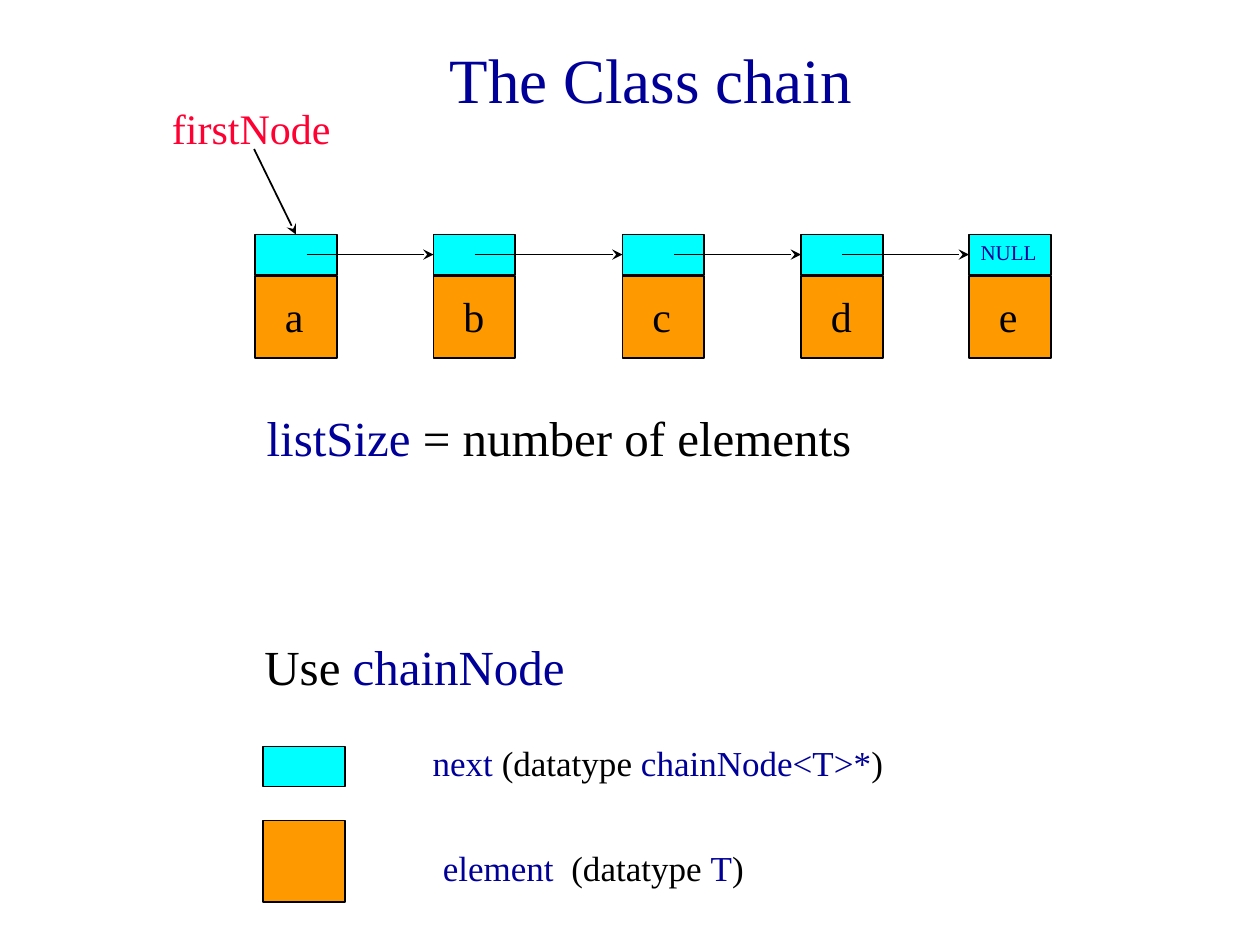
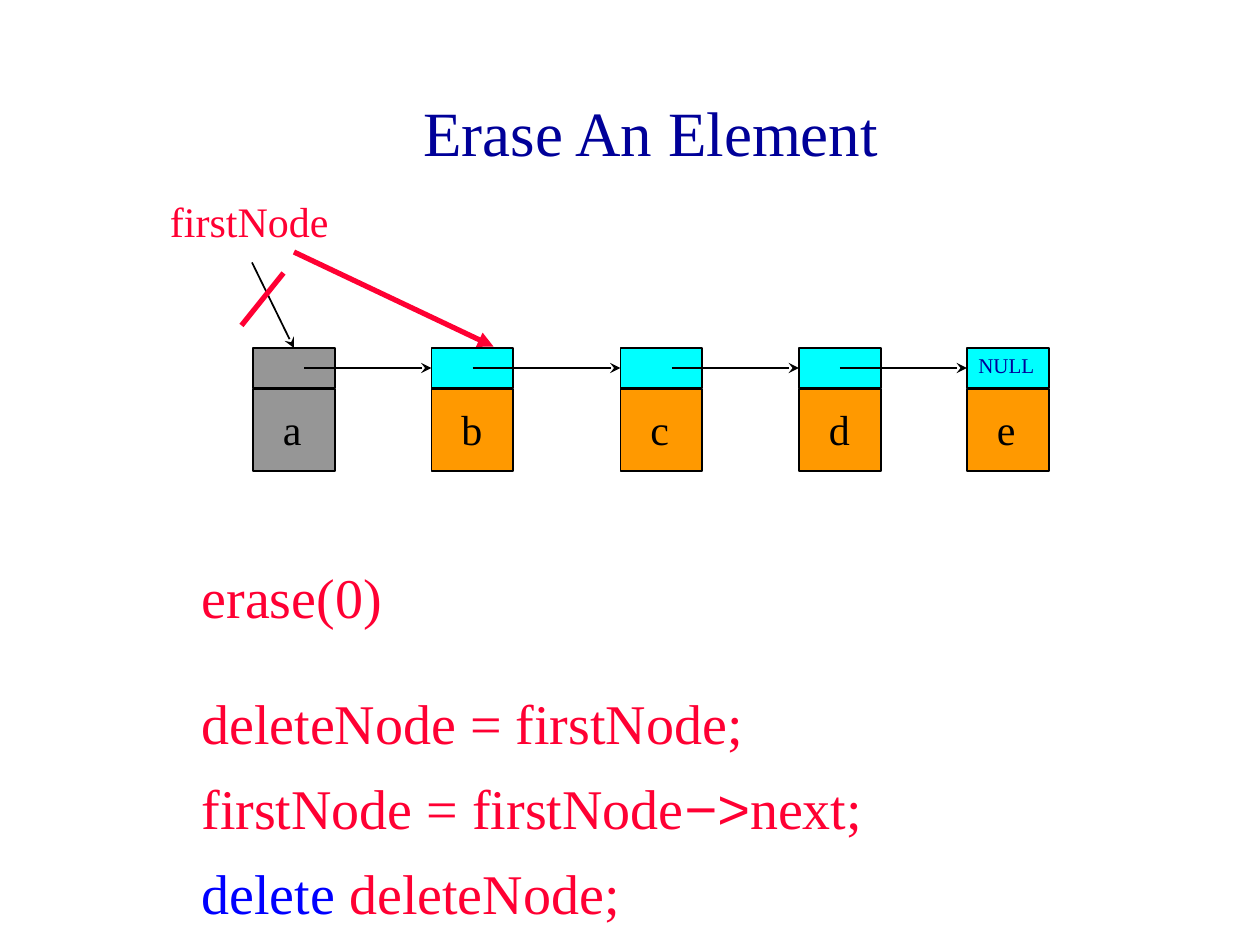
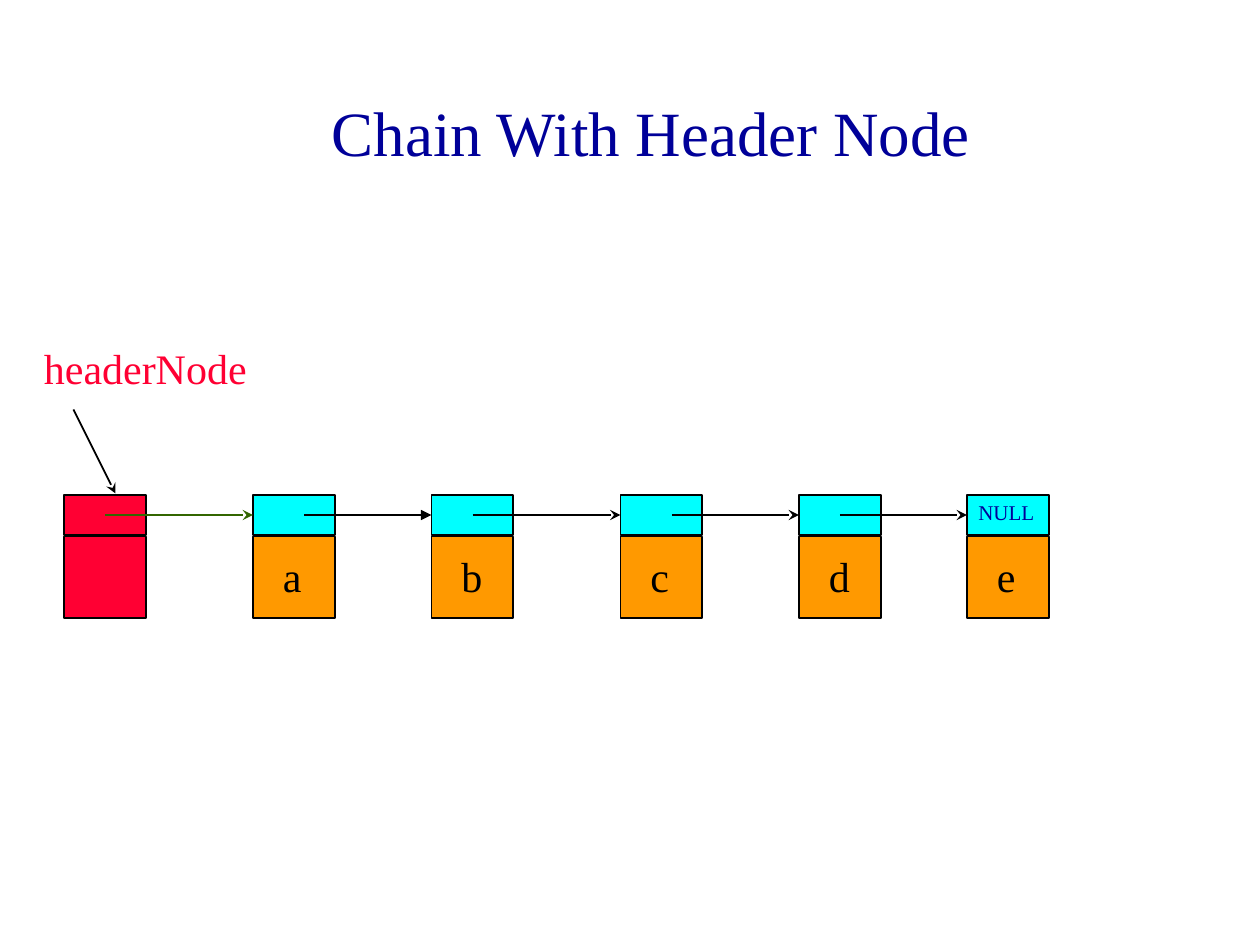
from lxml.etree import SubElement
from pptx import Presentation
from pptx.dml.color import RGBColor
from pptx.enum.shapes import MSO_CONNECTOR, MSO_SHAPE
from pptx.enum.text import MSO_ANCHOR, MSO_AUTO_SIZE, PP_ALIGN
from pptx.oxml.ns import qn
from pptx.util import Pt

FONT = "Times New Roman"
NAVY, BLACK, RED, BLUE = "000099", "000000", "FF0033", "0000FF"
CYAN, ORANGE, GRAY, GREEN = "00FFFF", "FF9900", "969696", "336600"

NODE_W, NEXT_H, ELEMENT_H = 46.8, 23, 46.8
NEXT_DY, ELEMENT_DY = 0.8, 24.5
# element, left offset in the chain, start of its arrow within the node
CHAIN = [("a", 0, 30), ("b", 102, 24), ("c", 210, 30), ("d", 312, 24), ("e", 408, None)]
HEADER = ("", -108, 24)

NEXT_TEXT = [[("next ", NAVY), ("(datatype", BLACK), (" chainNode<T>*", NAVY), (")", BLACK)]]
ELEMENT_TEXT = [[("element", NAVY), ("  (datatype ", BLACK), ("T", NAVY), (")", BLACK)]]
USE_TEXT = [[("Use ", BLACK), ("chainNode", NAVY)]]
SIZE_TEXT = [[("listSize ", NAVY), ("= number of elements", BLACK)]]
ERASE_CALL = [[("erase(0)", RED)]]
ERASE_CODE = [
    [("deleteNode = firstNode;", RED)],
    [("firstNode = firstNode", RED), ("−>", RED, "Arial"), ("next;", RED)],
    [("delete", BLUE), (" deleteNode;", RED)],
]


def rgb(color):
    return RGBColor.from_string(color)


def place(sp, left, top, width, height):
    sp.left, sp.top, sp.width, sp.height = Pt(left), Pt(top), Pt(width), Pt(height)


def write(sp, paragraphs, size, align=PP_ALIGN.LEFT, anchor=MSO_ANCHOR.TOP, wrap=True):
    """Fill a shape with paragraphs, each a list of (text, colour[, font]) runs."""
    tf = sp.text_frame
    tf.word_wrap, tf.auto_size, tf.vertical_anchor = wrap, MSO_AUTO_SIZE.NONE, anchor
    for i, runs in enumerate(paragraphs):
        p = tf.add_paragraph() if i else tf.paragraphs[0]
        p.alignment = align
        p.space_before = Pt(10 if i else 0)
        for text, color, *font in runs:
            r = p.add_run()
            r.text = text
            r.font.name = font[0] if font else FONT
            r.font.size = Pt(size)
            r.font.color.rgb = rgb(color)


def add_text(slide, box, paragraphs, size, wrap=True):
    sp = slide.shapes.add_textbox(*map(Pt, box))
    write(sp, paragraphs, size, wrap=wrap)
    return sp


def add_subtitle(slide, box, paragraphs, size):
    sp = slide.placeholders[1]
    place(sp, *box)
    write(sp, paragraphs, size)


def add_box(slide, left, top, height, color):
    sp = slide.shapes.add_shape(
        MSO_SHAPE.RECTANGLE, Pt(left), Pt(top), Pt(NODE_W), Pt(height))
    sp.shadow.inherit = False
    sp.fill.solid()
    sp.fill.fore_color.rgb = rgb(color)
    sp.line.color.rgb = rgb(BLACK)
    sp.line.width = Pt(1)
    return sp


def add_line(slide, start, end, color=BLACK, width=1, head="stealth"):
    cn = slide.shapes.add_connector(MSO_CONNECTOR.STRAIGHT, *map(Pt, (*start, *end)))
    cn.line.color.rgb = rgb(color)
    cn.line.width = Pt(width)
    if head:
        SubElement(cn.line._get_or_add_ln(), qn("a:tailEnd"), type=head)
    SubElement(cn._element.spPr, qn("a:effectLst"))
    return cn


def add_chain(slide, x, y, nodes=CHAIN, fills={}, arrows={}):
    """Draw linked nodes; fills and arrows hold exceptions by element. Return next cells."""
    cells = []
    for name, dx, _ in nodes:
        left = x + dx + 0.5
        next_fill = fills.get(name, CYAN)
        add_box(slide, left, y + ELEMENT_DY, ELEMENT_H, fills.get(name, ORANGE))
        cells.append(add_box(slide, left, y + NEXT_DY, NEXT_H, next_fill))
        if name:
            add_text(slide, (left + 10, y + 29, 26, 36), [[(name, BLACK)]], 24, wrap=False)
    mid = y + NEXT_DY + NEXT_H / 2
    for (name, dx, start), (_, next_dx, _), target in zip(nodes, nodes[1:], cells[1:]):
        cn = add_line(slide, (x + dx + start, mid), (x + next_dx, mid), **arrows.get(name, {}))
        cn.end_connect(target, 1)
    add_text(slide, (x + nodes[-1][1], y, 48, 21.6), [[("NULL", NAVY)]], 12)
    return cells


def add_pointer(slide, name, label_at, tip):
    """Label a pointer variable and draw its arrow down to the tip."""
    add_text(slide, (*label_at, 132, 36), [[(name, RED)]], 24)
    return add_line(slide, (tip[0] - 24, tip[1] - 48), tip)


def add_slide(prs, layout, title, top=30):
    slide = prs.slides.add_slide(prs.slide_layouts[layout])
    place(slide.shapes.title, 66, top, 612, 90)
    write(slide.shapes.title, [[(title, NAVY)]], 36, PP_ALIGN.CENTER, MSO_ANCHOR.MIDDLE)
    return slide


def class_slide(prs):
    slide = add_slide(prs, 0, "The Class chain", top=0)
    add_subtitle(slide, (240, 420, 396, 31), NEXT_TEXT, 20)
    add_box(slide, 150.5, 426.5, NEXT_H, CYAN)
    add_box(slide, 150.5, 468.8, ELEMENT_H, ORANGE)
    add_text(slide, (246, 480, 396, 31), ELEMENT_TEXT, 20)
    add_text(slide, (144, 360, 426, 41), USE_TEXT, 28)
    x, y = 145.2, 133.2
    cells = add_chain(slide, x, y)
    add_pointer(slide, "firstNode", (91.2, 55.2), (x + 24, y)).end_connect(cells[0], 0)
    sp = add_text(slide, (109.2, 229.2, 396, 41), SIZE_TEXT, 28)
    sp.text_frame.margin_left = Pt(43.2)


def erase_slide(prs):
    slide = add_slide(prs, 0, "Erase An Element")
    add_subtitle(slide, (108, 318, 504, 48), ERASE_CALL, 32)
    x, y = 144, 198
    cells = add_chain(slide, x, y, fills={"a": GRAY})
    add_pointer(slide, "firstNode", (90, 108), (x + 24, y)).end_connect(cells[0], 0)
    add_line(slide, (168, 144), (282, y), RED, 3, "triangle")
    add_line(slide, (162, 156), (138, 186), RED, 3, None)
    add_text(slide, (108, 390, 504, 54), ERASE_CODE, 32)


def header_slide(prs):
    slide = add_slide(prs, 5, "Chain With Header Node")
    x, y = 144, 282
    add_chain(slide, x, y, [HEADER] + CHAIN, fills={"": RED},
              arrows={"": {"color": GREEN}, "a": {"head": "triangle"}})
    add_pointer(slide, "headerNode", (18, 192), (66, y))


def main():
    prs = Presentation()
    prs.slide_width, prs.slide_height = Pt(720), Pt(540)
    class_slide(prs)
    erase_slide(prs)
    header_slide(prs)
    prs.save("out.pptx")


if __name__ == "__main__":
    main()
